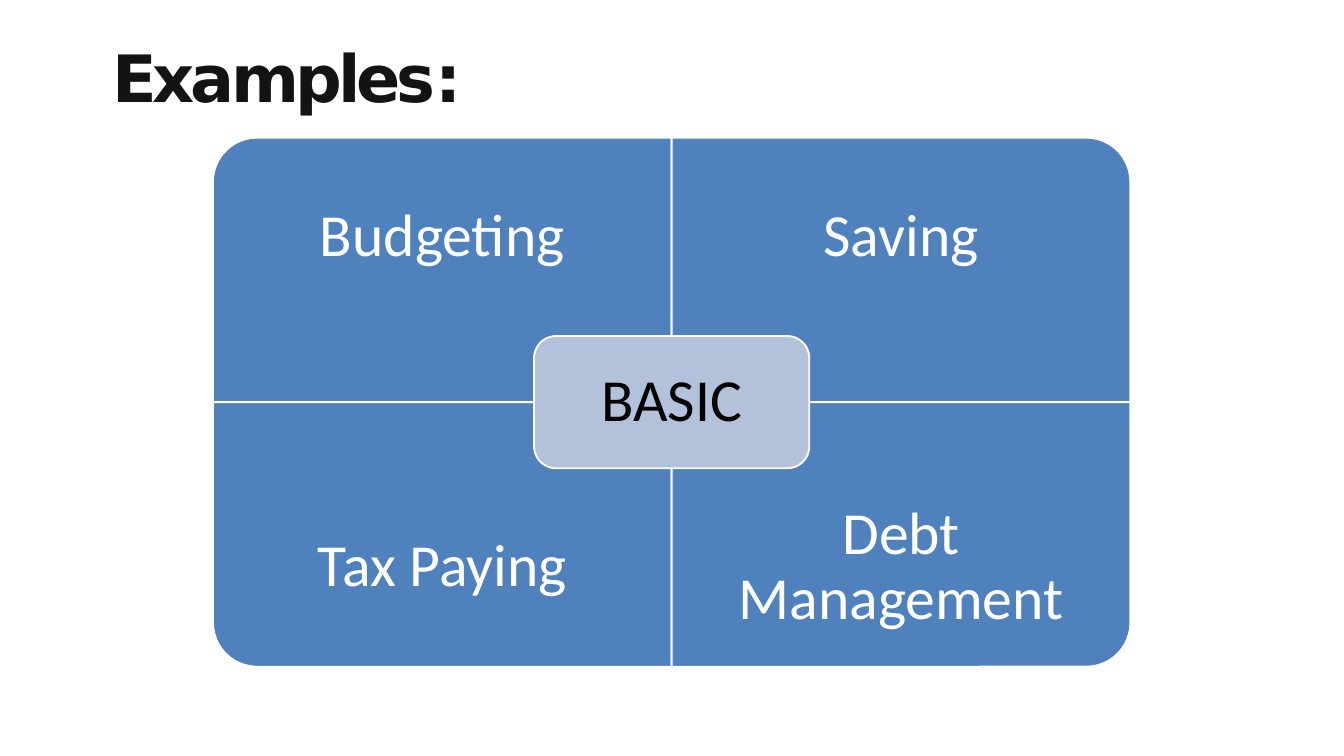
import pptx
import pptx.util
import pptx.dml.color
import pptx.enum.shapes
import pptx.enum.text
import pptx.oxml.ns

Inches = pptx.util.Inches
Pt = pptx.util.Pt
PRESET = pptx.enum.shapes.MSO_SHAPE

COLORS = {
    "title": "131313",
    "quadrant": "4F81BD",
    "center": "B3C1DB",
    "white": "FFFFFF",
    "black": "000000",
}
QUADRANTS = [
    ("Budgeting", 0, 0, 270),
    ("Saving", 1, 0, 0),
    ("Tax Paying", 0, 1, 180),
    ("Debt Management", 1, 1, 90),
]


def rgb(name):
    """Return the named colour."""
    return pptx.dml.color.RGBColor.from_string(COLORS[name])


def add_panel(slide, preset, box, fill, rotation=0):
    """Add a white-edged panel that covers the box once rotated."""
    left, top, width, height = box
    if rotation % 180:
        left += (width - height) / 2
        top += (height - width) / 2
        width, height = height, width
    panel = slide.shapes.add_shape(
        preset, Inches(left), Inches(top), Inches(width), Inches(height))
    panel.rotation = rotation
    panel.shadow.inherit = False
    panel.fill.solid()
    panel.fill.fore_color.rgb = rgb(fill)
    panel.line.color.rgb = rgb("white")
    panel.line.width = Pt(2)
    return panel


def set_label(holder, wording, color, margin):
    """Write a centred label into a shape or text box."""
    frame = holder.text_frame
    frame.word_wrap = True
    frame.vertical_anchor = pptx.enum.text.MSO_ANCHOR.MIDDLE
    frame.margin_left = frame.margin_right = Inches(margin)
    frame.margin_top = frame.margin_bottom = Inches(margin)
    frame.text = wording
    label = frame.paragraphs[0]
    label.alignment = pptx.enum.text.PP_ALIGN.CENTER
    label.line_spacing = 0.9
    font = label.runs[0].font
    font.name = "Calibri"
    font.size = Pt(64)
    font.color.rgb = rgb(color)


def add_title(slide, box):
    """Place and format the slide title."""
    title = slide.shapes.title
    title.left, title.top, title.width, title.height = map(Inches, box)
    frame = title.text_frame
    frame.auto_size = pptx.enum.text.MSO_AUTO_SIZE.NONE
    frame.vertical_anchor = pptx.enum.text.MSO_ANCHOR.TOP
    frame.margin_left = frame.margin_right = frame.margin_bottom = 0
    frame.margin_top = Inches(0.01)
    heading = frame.paragraphs[0]
    heading.alignment = pptx.enum.text.PP_ALIGN.LEFT
    heading.space_before = Pt(1)
    for wording in ("Examples", ":"):
        run = heading.add_run()
        run.text = wording
        run.font.name = "DejaVu Sans"
        run.font.size = Pt(70)
        run.font.bold = True
        run.font.color.rgb = rgb("title")
    run_properties = title.element.iter(pptx.oxml.ns.qn("a:rPr"))
    for properties, spacing in zip(run_properties, ("-420", "-170")):
        properties.set("spc", spacing)


def add_matrix(slide, box):
    """Draw four quadrants around a central label."""
    left, top, width, height = box
    cell_width, cell_height = width / 2, height / 2
    label_height = cell_height * 0.75
    for wording, column, row, rotation in QUADRANTS:
        cell_left = left + column * cell_width
        cell_top = top + row * cell_height
        add_panel(slide, PRESET.ROUND_1_RECTANGLE,
                  (cell_left, cell_top, cell_width, cell_height),
                  "quadrant", rotation)
        label_top = cell_top + row * (cell_height - label_height)
        label = slide.shapes.add_textbox(
            Inches(cell_left), Inches(label_top),
            Inches(cell_width), Inches(label_height))
        set_label(label, wording, "white", 0.5)
    center_width, center_height = cell_width * 0.6, cell_height / 2
    center = add_panel(
        slide, PRESET.ROUNDED_RECTANGLE,
        (left + (width - center_width) / 2, top + (height - center_height) / 2,
         center_width, center_height), "center")
    set_label(center, "BASIC", "black", 0.27)


def main():
    """Build and save the presentation."""
    deck = pptx.Presentation()
    deck.slide_width = Inches(20.01)
    deck.slide_height = Inches(11.26)
    slide = deck.slides.add_slide(deck.slide_layouts.get_by_name("Title Only"))
    add_title(slide, (1.67, 0.55, 9.14, 1.2))
    add_matrix(slide, (3.17, 2.05, 13.66, 7.88))
    deck.save("out.pptx")


if __name__ == "__main__":
    main()
